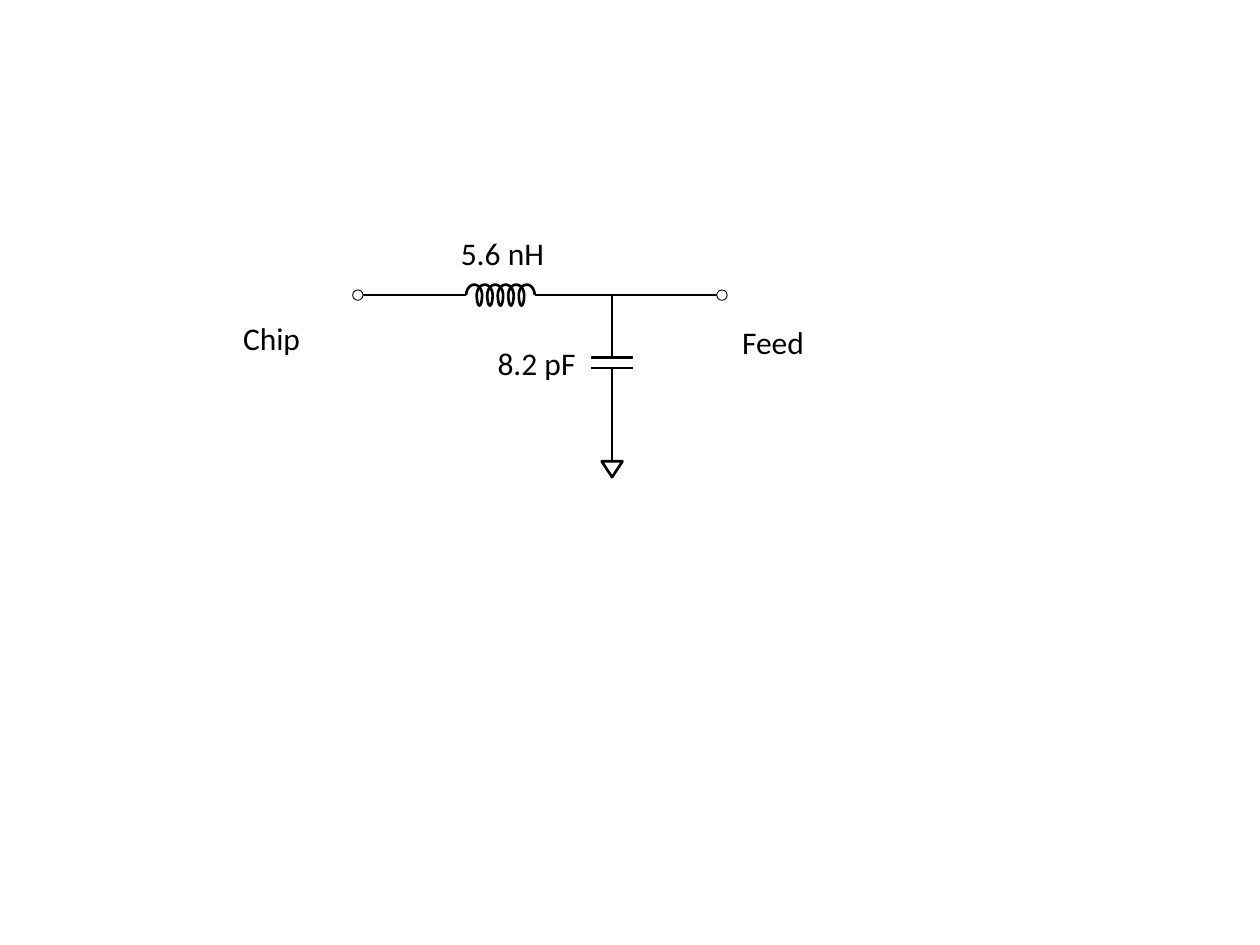
from math import cos, pi, sin
from lxml.etree import SubElement
from pptx import Presentation
from pptx.dml.color import RGBColor
from pptx.enum.shapes import MSO_CONNECTOR, MSO_SHAPE
from pptx.enum.text import MSO_AUTO_SIZE
from pptx.oxml.ns import qn
from pptx.util import Cm, Pt

BLACK = RGBColor(0, 0, 0)
WHITE = RGBColor(255, 255, 255)

prs = Presentation()
prs.slide_width, prs.slide_height = Cm(25.4), Cm(19.05)
s = prs.slides.add_slide(prs.slide_layouts[6])

WIRE_Y = 5.95
NODE_X = 12.34
COIL_LEFT, COIL_RIGHT = 9.4, 10.78
TURNS = 6
TURN_W = 0.32
PITCH = (COIL_RIGHT - COIL_LEFT - TURN_W) / (TURNS - 1)
PLATE_TOP, PLATE_BOTTOM = 7.21, 7.42
GROUND_Y = 9.3


def add_outline(points, close):
    """Draw an unfilled black outline through points in centimetres."""
    points = [(Cm(x), Cm(y)) for x, y in points]
    builder = s.shapes.build_freeform(*points[0])
    builder.add_line_segments(points[1:], close=close)
    sp = builder.convert_to_shape()
    sp.shadow.inherit = False
    sp.fill.background()
    sp.line.color.rgb = BLACK
    sp.line.width = Pt(1.5)


def add_half_turn(left, width, height):
    """Draw half an ellipse on the wire; a negative height bulges upward."""
    angles = [pi * i / 24 for i in range(25)]
    add_outline([(left + width / 2 * (1 - cos(a)), WIRE_Y + height * sin(a))
                 for a in angles], False)


# Inductor: wide upper arcs overlap, narrow lower arcs join them
for i in range(TURNS):
    add_half_turn(COIL_LEFT + i * PITCH, TURN_W, -0.21)
for i in range(1, TURNS):
    add_half_turn(COIL_LEFT + i * PITCH, TURN_W - PITCH, 0.21)

# Wires, inductor leads, capacitor leads and plates
lines = [
    (7.32, WIRE_Y, 9.04, WIRE_Y),
    (9.04, WIRE_Y, COIL_LEFT, WIRE_Y),
    (COIL_RIGHT, WIRE_Y, 11.15, WIRE_Y),
    (11.15, WIRE_Y, 14.45, WIRE_Y),
    (NODE_X, WIRE_Y, NODE_X, 6.25),
    (NODE_X, 6.25, NODE_X, PLATE_TOP),
    (NODE_X, PLATE_BOTTOM, NODE_X, 8.38),
    (NODE_X, 8.38, NODE_X, 8.76),
    (NODE_X, 8.76, NODE_X, GROUND_Y),
]
for y in (PLATE_TOP, PLATE_BOTTOM):
    lines.append((NODE_X - 0.43, y, NODE_X + 0.43, y))
for line in lines:
    wire = s.shapes.add_connector(MSO_CONNECTOR.STRAIGHT, *[Cm(v) for v in line])
    wire.line.color.rgb = BLACK
    wire.line.width = Pt(1.5)
    SubElement(wire._element.spPr, qn("a:effectLst"))

# Ground symbol
add_outline([(NODE_X, GROUND_Y + 0.32), (NODE_X + 0.21, GROUND_Y),
             (NODE_X - 0.21, GROUND_Y)], True)

# Terminals
for left in (7.11, 14.45):
    sp = s.shapes.add_shape(MSO_SHAPE.OVAL, Cm(left), Cm(WIRE_Y - 0.105), Cm(0.21), Cm(0.21))
    sp.shadow.inherit = False
    sp.fill.solid()
    sp.fill.fore_color.rgb = WHITE
    sp.line.color.rgb = BLACK
    sp.line.width = Pt(0.5)

# Labels
for text, left, top, width in [
    ("Chip", 4.65, 6.3, 1.68),
    ("Feed", 14.71, 6.38, 1.78),
    ("5.6 nH", 9.04, 4.6, 2.21),
    ("8.2 pF", 9.78, 6.81, 2.11),
]:
    tf = s.shapes.add_textbox(Cm(left), Cm(top), Cm(width), Cm(1.02)).text_frame
    tf.word_wrap = False
    tf.auto_size = MSO_AUTO_SIZE.SHAPE_TO_FIT_TEXT
    r = tf.paragraphs[0].add_run()
    r.text = text
    r.font.name = "Calibri"
    r.font.size = Pt(18)
    r.font.color.rgb = BLACK

prs.save("out.pptx")
